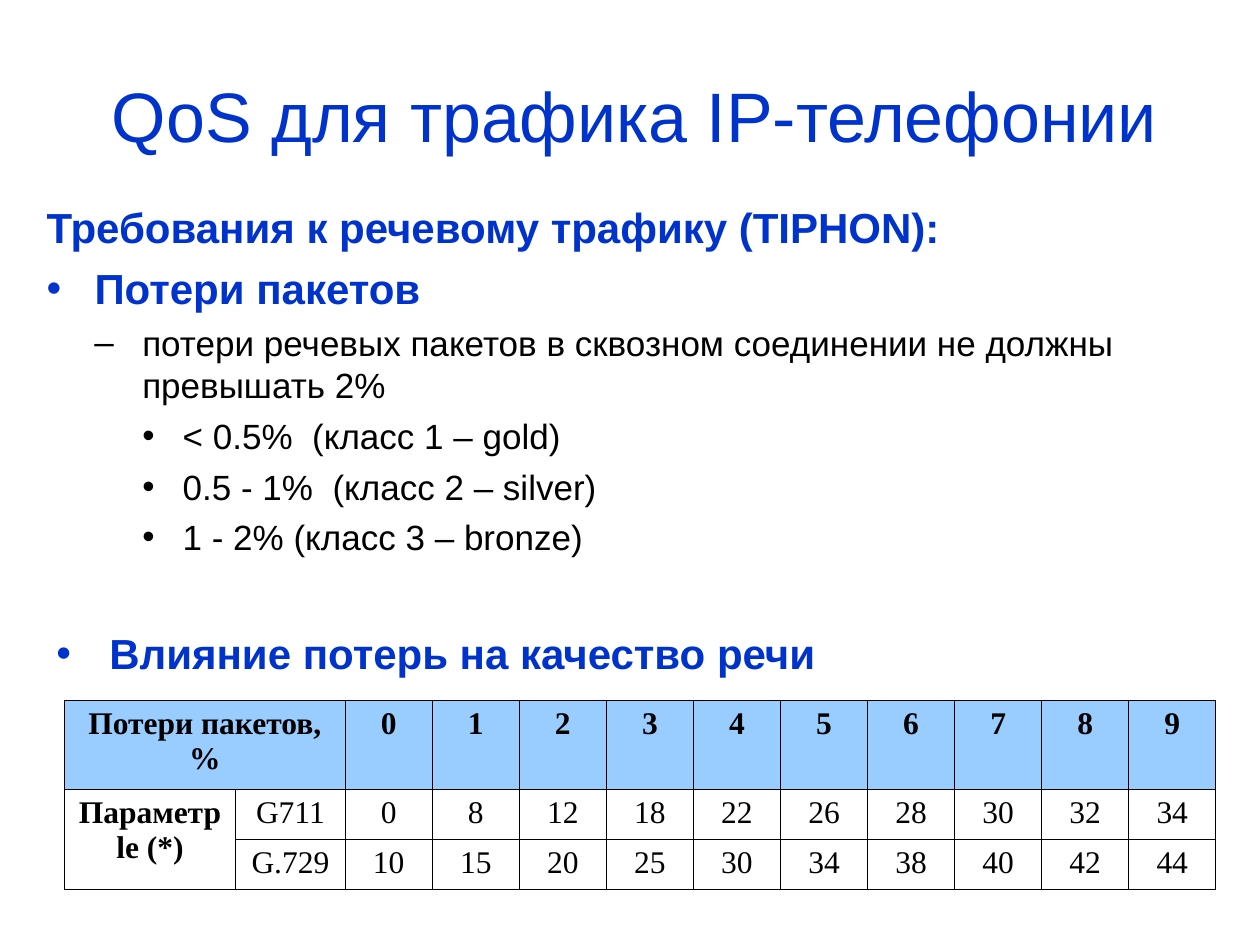
from pptx import Presentation
from pptx.dml.color import RGBColor
from pptx.enum import text as t
from pptx.oxml import parse_xml
from pptx.oxml.ns import nsdecls
from pptx.util import Pt

THEME = {
    "blue": "0033CC", "black": "000000", "head": "99CCFF",
    "sans": "Arial", "serif": "Times New Roman",
    "title": 40, "lead": 24, "text": 20, "cell": 18, "rule": 0.45,
}

TITLE = "QoS для трафика IP-телефонии"
LIST = [
    ("lead", "Требования к речевому трафику (TIPHON):"),
    ("point", "Потери пакетов"),
    ("dash", "потери речевых пакетов в сквозном соединении не должны превышать 2%"),
    ("class", "< 0.5%  (класс 1 – gold)"),
    ("class", "0.5 - 1%  (класс 2 – silver)"),
    ("class", "1 - 2% (класс 3 – bronze)"),
]
EFFECT = "Влияние потерь на качество речи"
ROWS = [
    ["Потери пакетов, %", "", *range(10)],
    ["Параметр\nle (*)", "G711", 0, 8, 12, 18, 22, 26, 28, 30, 32, 34],
    ["", "G.729", 10, 15, 20, 25, 30, 34, 38, 40, 42, 44],
]
MERGES = [((0, 0), (0, 1)), ((1, 0), (2, 0))]

LEVELS = {
    "lead": (0, "", 27.4, -27.4, 6, "lead", "blue", True),
    "point": (0, "•", 27.4, -27.4, 6, "lead", "blue", True),
    "dash": (1, "–", 54.7, -27.4, 5, "text", "black", False),
    "class": (2, "•", 77.8, -23, 5, "text", "black", False),
    "effect": (0, "•", 30.2, -30.2, 0, "lead", "blue", True),
}

TITLE_BOX = (31, 25.9, 663.1, 79.2)
LIST_BOX = (19.4, 111.6, 669.6, 238.3)
EFFECT_BOX = (25.2, 355, 448.6, 36)
TABLE_AT = (36.8, 400.2)
COLS = [97.9, 62.6] + [49.75] * 10
HEIGHTS = [50.6, 28.8, 28.8]


def place(shape, box):
    shape.left, shape.top, shape.width, shape.height = map(Pt, box)


def style(para, size, color, face="sans", bold=False):
    for run in para.runs:
        font = run.font
        font.name, font.size, font.bold = THEME[face], Pt(THEME[size]), bold
        font.color.rgb = RGBColor.from_string(THEME[color])


def item(para, kind, words, first=False):
    level, mark, left, hang, gap, size, color, bold = LEVELS[kind]
    para.text = words
    para.level = level
    para.alignment = t.PP_ALIGN.LEFT
    para.space_before = Pt(0 if first else gap)
    props = para._p.get_or_add_pPr()
    props.set("marL", str(Pt(left)))
    props.set("indent", str(Pt(hang)))
    ns = nsdecls("a")
    if mark:
        parts = [
            f'<a:buClr {ns}><a:srgbClr val="{THEME[color]}"/></a:buClr>',
            f'<a:buFont {ns} typeface="{THEME["sans"]}"/>',
            f'<a:buChar {ns} char="{mark}"/>',
        ]
    else:
        parts = [f"<a:buNone {ns}/>"]
    for part in parts:
        props.append(parse_xml(part))
    style(para, size, color, bold=bold)


def border(cell):
    props = cell._tc.get_or_add_tcPr()
    for at, side in enumerate(("lnL", "lnR", "lnT", "lnB")):
        props.insert(at, parse_xml(
            f'<a:{side} {nsdecls("a")} w="{Pt(THEME["rule"])}"><a:solidFill>'
            f'<a:srgbClr val="{THEME["black"]}"/></a:solidFill></a:{side}>'))


def add_title(slide):
    shape = slide.shapes.title
    place(shape, TITLE_BOX)
    frame = shape.text_frame
    frame.text = TITLE
    frame.auto_size = t.MSO_AUTO_SIZE.NONE
    frame.vertical_anchor = t.MSO_ANCHOR.MIDDLE
    frame.paragraphs[0].alignment = t.PP_ALIGN.CENTER
    style(frame.paragraphs[0], "title", "blue")


def add_list(slide):
    shape = slide.placeholders[1]
    place(shape, LIST_BOX)
    frame = shape.text_frame
    frame.auto_size = t.MSO_AUTO_SIZE.NONE
    for i, (kind, words) in enumerate(LIST):
        para = frame.add_paragraph() if i else frame.paragraphs[0]
        item(para, kind, words, first=i == 0)


def add_table(slide):
    shape = slide.shapes.add_table(
        len(ROWS), len(COLS), *map(Pt, TABLE_AT), Pt(sum(COLS)), Pt(sum(HEIGHTS)))
    table = shape.table
    table.first_row = table.horz_banding = False
    for col, width in zip(table.columns, COLS):
        col.width = Pt(width)
    for row, height in zip(table.rows, HEIGHTS):
        row.height = Pt(height)
    for r, row in enumerate(ROWS):
        for c, value in enumerate(row):
            cell = table.cell(r, c)
            cell.text = str(value)
            if r == 0:
                cell.fill.solid()
                cell.fill.fore_color.rgb = RGBColor.from_string(THEME["head"])
            else:
                cell.fill.background()
            for para in cell.text_frame.paragraphs:
                para.alignment = t.PP_ALIGN.CENTER
                style(para, "cell", "black", "serif", bold=r == 0 or c == 0)
            border(cell)
    for start, end in MERGES:
        table.cell(*start).merge(table.cell(*end))


def add_effect(slide):
    frame = slide.shapes.add_textbox(*map(Pt, EFFECT_BOX)).text_frame
    frame.word_wrap = False
    frame.auto_size = t.MSO_AUTO_SIZE.SHAPE_TO_FIT_TEXT
    item(frame.paragraphs[0], "effect", EFFECT, first=True)


def main():
    deck = Presentation()
    deck.slide_width, deck.slide_height = Pt(720), Pt(540)
    slide = deck.slides.add_slide(deck.slide_layouts[1])
    add_title(slide)
    add_list(slide)
    add_table(slide)
    add_effect(slide)
    deck.save("out.pptx")


if __name__ == "__main__":
    main()
